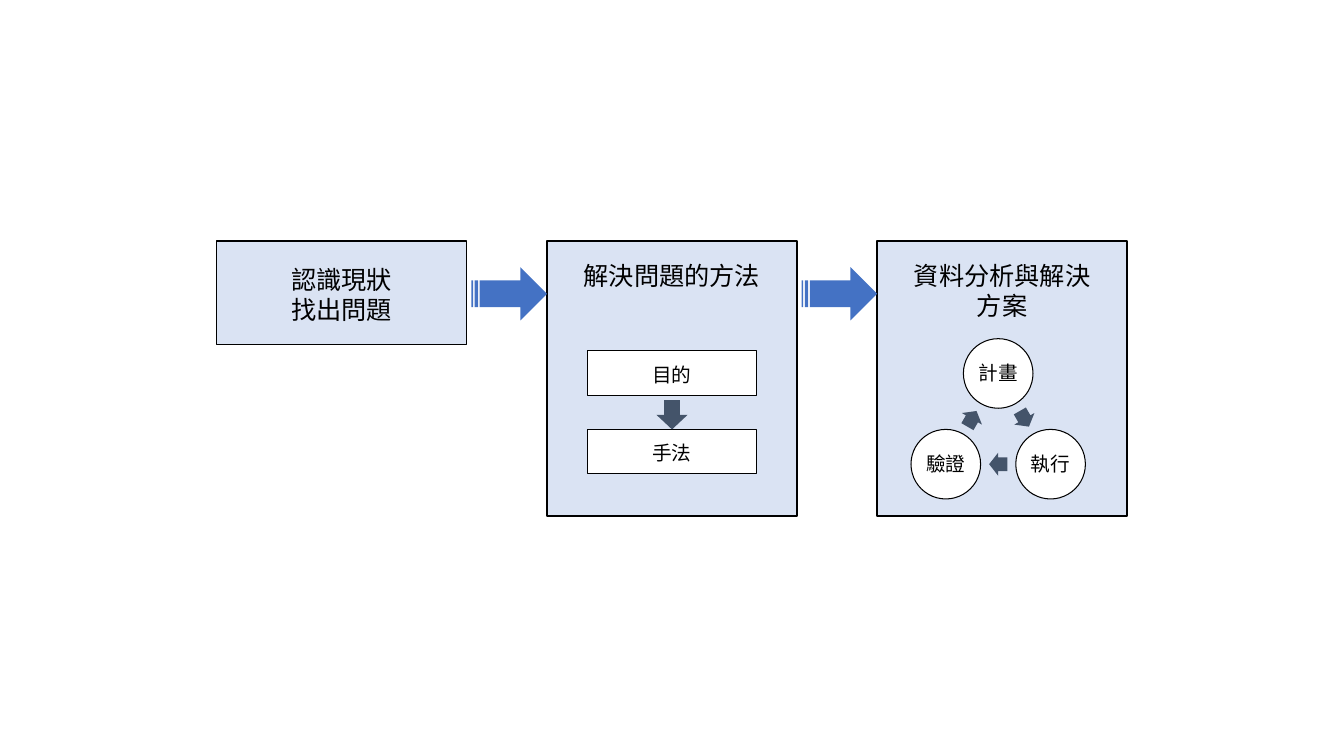
from dataclasses import dataclass
from math import cos, radians, sin

from lxml.etree import SubElement
from pptx import Presentation
from pptx.dml.color import RGBColor
from pptx.enum.shapes import MSO_SHAPE
from pptx.enum.text import PP_ALIGN
from pptx.oxml.ns import qn
from pptx.util import Inches, Pt

BLACK = RGBColor(0x00, 0x00, 0x00)
WHITE = RGBColor(0xFF, 0xFF, 0xFF)
PALE_BLUE = RGBColor(0xDA, 0xE3, 0xF3)
BLUE = RGBColor(0x44, 0x72, 0xC4)
SLATE = RGBColor(0x44, 0x54, 0x6A)
FONT = "Noto Sans CJK JP"

PANEL_LEFT, PANEL_TOP, PANEL_W, PANEL_STEP = 2.15, 2.39, 2.48, 3.275
STEP_W, STEP_H = 1.68, 0.44
CYCLE_X, CYCLE_Y, CYCLE_R, CIRCLE_D = 9.9, 4.305, 0.6, 0.69
LABEL_W, LABEL_H = 0.83, 0.34


@dataclass
class Panel:
    lines: list[str]
    height: float
    text_top: float
    text_w: float
    text_h: float


@dataclass
class Step:
    label: str
    top: float


PANELS = [
    Panel(["認識現狀", "找出問題"], 1.03, 2.57, 1.9, 0.71),
    Panel(["解決問題的方法"], 2.73, 2.53, 1.96, 0.4),
    Panel(["資料分析與解決方案"], 2.73, 2.53, 1.96, 0.71),
]
STEPS = [Step("目的", 3.48), Step("手法", 4.26)]
CYCLE = ["計畫", "執行", "驗證"]


def add_block(s, kind: MSO_SHAPE, left: float, top: float, width: float, height: float,
              fill: RGBColor, line_pt: float = 0, rotation: float = 0):
    """Draw a filled shape, outlined in black when a line width is given."""
    sp = s.shapes.add_shape(kind, Inches(left), Inches(top), Inches(width), Inches(height))
    sp.shadow.inherit = False
    sp.fill.solid()
    sp.fill.fore_color.rgb = fill
    sp.rotation = rotation
    if line_pt:
        sp.line.color.rgb = BLACK
        sp.line.width = Pt(line_pt)
    else:
        sp.line.fill.background()
    return sp


def add_text(s, lines: list[str], center_x: float, top: float, width: float,
             height: float, size: int) -> None:
    """Write centred paragraphs in a text box around a vertical axis."""
    box = s.shapes.add_textbox(Inches(center_x - width / 2), Inches(top),
                               Inches(width), Inches(height))
    tf = box.text_frame
    tf.word_wrap = True
    for i, line in enumerate(lines):
        p = tf.add_paragraph() if i else tf.paragraphs[0]
        p.alignment = PP_ALIGN.CENTER
        r = p.add_run()
        r.text = line
        r.font.size = Pt(size)
        r.font.name = FONT
        r.font.color.rgb = BLACK
        SubElement(r.font._element, qn("a:ea"), typeface=FONT)


def add_panels(s) -> None:
    """Draw the three stages and the striped arrows between them."""
    for i, panel in enumerate(PANELS):
        left = PANEL_LEFT + i * PANEL_STEP
        add_block(s, MSO_SHAPE.RECTANGLE, left, PANEL_TOP, PANEL_W, panel.height, PALE_BLUE, 1)
        add_text(s, panel.lines, left + PANEL_W / 2, panel.text_top,
                 panel.text_w, panel.text_h, 18)
        if i:
            add_block(s, MSO_SHAPE.STRIPED_RIGHT_ARROW, left - 0.75, 2.65, 0.75, 0.53, BLUE)


def add_steps(s) -> None:
    """Draw the purpose and method boxes with the arrow joining them."""
    center = PANEL_LEFT + PANEL_STEP + PANEL_W / 2
    for step in STEPS:
        add_block(s, MSO_SHAPE.RECTANGLE, center - STEP_W / 2, step.top,
                  STEP_W, STEP_H, WHITE, 0.75)
        add_text(s, [step.label], center, step.top + 0.07, LABEL_W, LABEL_H, 14)
    add_block(s, MSO_SHAPE.RIGHT_ARROW, center - 0.145, 3.96, 0.29, 0.31, SLATE, rotation=90)


def add_cycle(s) -> None:
    """Draw the three-part cycle with arrows at the middle of its sides."""
    for i, label in enumerate(CYCLE):
        turn = 120 * i
        x = CYCLE_X + CYCLE_R * cos(radians(turn - 90))
        y = CYCLE_Y + CYCLE_R * sin(radians(turn - 90))
        add_block(s, MSO_SHAPE.OVAL, x - CIRCLE_D / 2, y - CIRCLE_D / 2,
                  CIRCLE_D, CIRCLE_D, WHITE, 0.75)
        add_text(s, [label], x, y - LABEL_H / 2, LABEL_W, LABEL_H, 14)
        arrow_x = CYCLE_X + CYCLE_R / 2 * cos(radians(turn - 30))
        arrow_y = CYCLE_Y + CYCLE_R / 2 * sin(radians(turn - 30))
        arrow = add_block(s, MSO_SHAPE.RIGHT_ARROW, arrow_x - 0.09, arrow_y - 0.115,
                          0.18, 0.23, SLATE, rotation=turn + 60)
        arrow.adjustments[0] = 0.6


def main() -> None:
    """Build and save the slide."""
    prs = Presentation()
    prs.slide_width, prs.slide_height = Inches(13.33), Inches(7.5)
    s = prs.slides.add_slide(prs.slide_layouts[6])
    add_panels(s)
    add_steps(s)
    add_cycle(s)
    prs.save("out.pptx")


if __name__ == "__main__":
    main()
